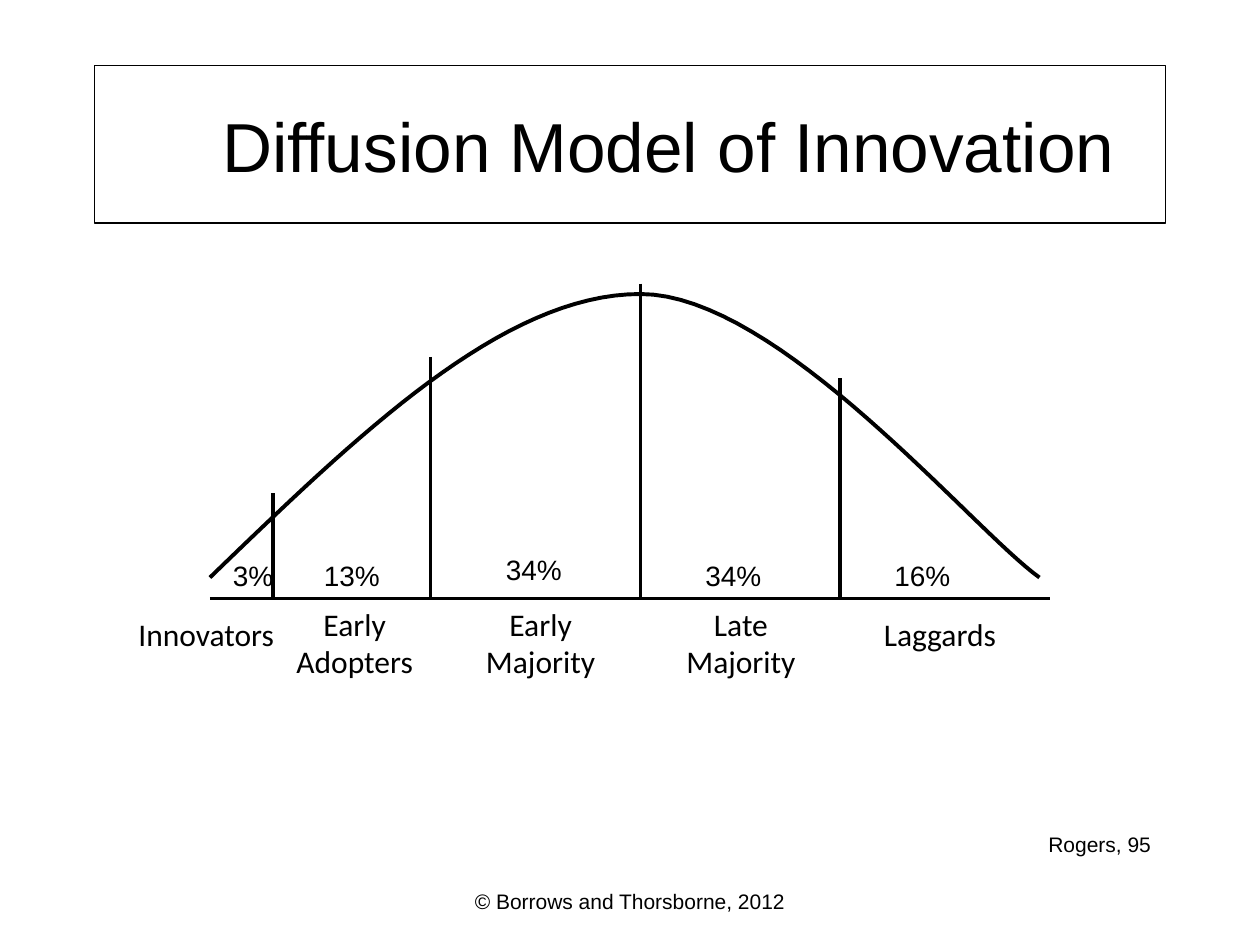
from pptx import Presentation
from pptx.dml.color import RGBColor
from pptx.enum.shapes import MSO_CONNECTOR as Connector, MSO_SHAPE as Shape
from pptx.enum.text import MSO_ANCHOR as Anchor, MSO_AUTO_SIZE as AutoSize, PP_ALIGN as Align
from pptx.oxml.ns import qn
from pptx.util import Pt
from lxml.etree import SubElement

BLACK = RGBColor(0, 0, 0)
STEPS = 32

CURVE_START = (0, 168)
CURVE_SEGMENTS = [
    ((84, 87), (167, 6), (246, 6)),
    ((325, 6), (436, 141), (474, 168)),
]
DIVIDERS = [(36, 120), (126, 42), (246, 0), (360, 54)]
SHARES = [
    ("3%", 6, 153.4, 38),
    ("13%", 58, 153.4, 47),
    ("34%", 162, 150, 47),
    ("34%", 276, 153.4, 47),
    ("16%", 384, 153.4, 47),
]
GROUPS = [
    (["Innovators"], -48, 186, 99.4),
    (["Early", "Adopters"], 38.4, 180, 88.6),
    (["Early", "Majority"], 150, 180, 77.8),
    (["Late", "Majority"], 264.5, 180, 77.8),
    (["Laggards"], 378, 186, 90.7),
]


def write_text(shape, lines, size, font="Arial", align=Align.LEFT, anchor=Anchor.TOP, wrap=False):
    """Fill a shape with formatted lines, one paragraph each."""
    frame = shape.text_frame
    frame.word_wrap = wrap
    frame.auto_size = AutoSize.NONE if wrap else AutoSize.SHAPE_TO_FIT_TEXT
    frame.vertical_anchor = anchor
    for index, line in enumerate(lines):
        para = frame.add_paragraph() if index else frame.paragraphs[0]
        para.alignment = align
        span = para.add_run()
        span.text = line
        span.font.name = font
        span.font.size = Pt(size)
        span.font.color.rgb = BLACK


def add_text(page, box, lines, size, **style):
    """Add a text box at the given left, top, width and height."""
    shape = page.shapes.add_textbox(*map(Pt, box))
    write_text(shape, lines, size, **style)


def add_line(page, start, end):
    """Draw a straight black line between two points."""
    line = page.shapes.add_connector(Connector.STRAIGHT, *map(Pt, (*start, *end)))
    line.line.color.rgb = BLACK
    line.line.width = Pt(2.25)
    SubElement(line._element.spPr, qn("a:effectLst"))


def add_title(page, box):
    """Draw the framed slide title, with its text set right of centre."""
    frame = page.shapes.add_shape(Shape.RECTANGLE, *map(Pt, box))
    frame.shadow.inherit = False
    frame.fill.background()
    frame.line.color.rgb = BLACK
    frame.line.width = Pt(0.75)
    write_text(frame, ["Diffusion Model of Innovation"], 39.6,
               align=Align.CENTER, anchor=Anchor.MIDDLE, wrap=True)
    frame.text_frame.margin_left = Pt(51.2)


def bezier_point(points, t):
    """Return the point at t on a cubic Bezier curve."""
    weights = ((1 - t) ** 3, 3 * t * (1 - t) ** 2, 3 * t * t * (1 - t), t ** 3)
    return tuple(sum(w * p[axis] for w, p in zip(weights, points)) for axis in (0, 1))


def add_curve(page, left, top):
    """Draw the bell-shaped adoption curve."""
    start, points = CURVE_START, []
    for segment in CURVE_SEGMENTS:
        points += [bezier_point((start, *segment), step / STEPS) for step in range(1, STEPS + 1)]
        start = segment[-1]
    builder = page.shapes.build_freeform(Pt(left + CURVE_START[0]), Pt(top + CURVE_START[1]))
    builder.add_line_segments([(Pt(left + x), Pt(top + y)) for x, y in points], close=False)
    curve = builder.convert_to_shape()
    curve.shadow.inherit = False
    curve.fill.background()
    curve.line.color.rgb = BLACK
    curve.line.width = Pt(2.25)


def add_diffusion_model(page, box):
    """Draw the baseline, curve, dividers, shares and group names."""
    left, top, width, height = box
    base = top + height
    add_line(page, (left, base), (left + width, base))
    add_curve(page, left, top)
    for x, y in DIVIDERS:
        add_line(page, (left + x, top + y), (left + x, base))
    for share, x, y, share_width in SHARES:
        add_text(page, (left + x, top + y, share_width, 26.6), [share], 16)
    for lines, x, y, name_width in GROUPS:
        add_text(page, (left + x, top + y, name_width, 7.2 + 22 * len(lines)), lines, 18,
                 font="Calibri", align=Align.CENTER if len(lines) > 1 else Align.LEFT)


def add_credits(page, box):
    """Place the source at the upper right and the copyright line below it."""
    left, top, width, height = box
    add_text(page, (left + width - 74, top, 74, 21.6), ["Rogers, 95"], 12)
    add_text(page, (left + (width - 228) / 2, top + height - 28.8, 228, 28.8),
             ["© Borrows and Thorsborne, 2012"], 12,
             align=Align.CENTER, anchor=Anchor.MIDDLE, wrap=True)


def main():
    """Build and save the slide."""
    deck = Presentation()
    deck.slide_width, deck.slide_height = Pt(720), Pt(540)
    page = deck.slides.add_slide(deck.slide_layouts[6])
    add_title(page, (54, 37.5, 612, 90))
    add_diffusion_model(page, (120, 162, 480, 180))
    add_credits(page, (54, 471.6, 612, 57.6))
    deck.save("out.pptx")


if __name__ == "__main__":
    main()
